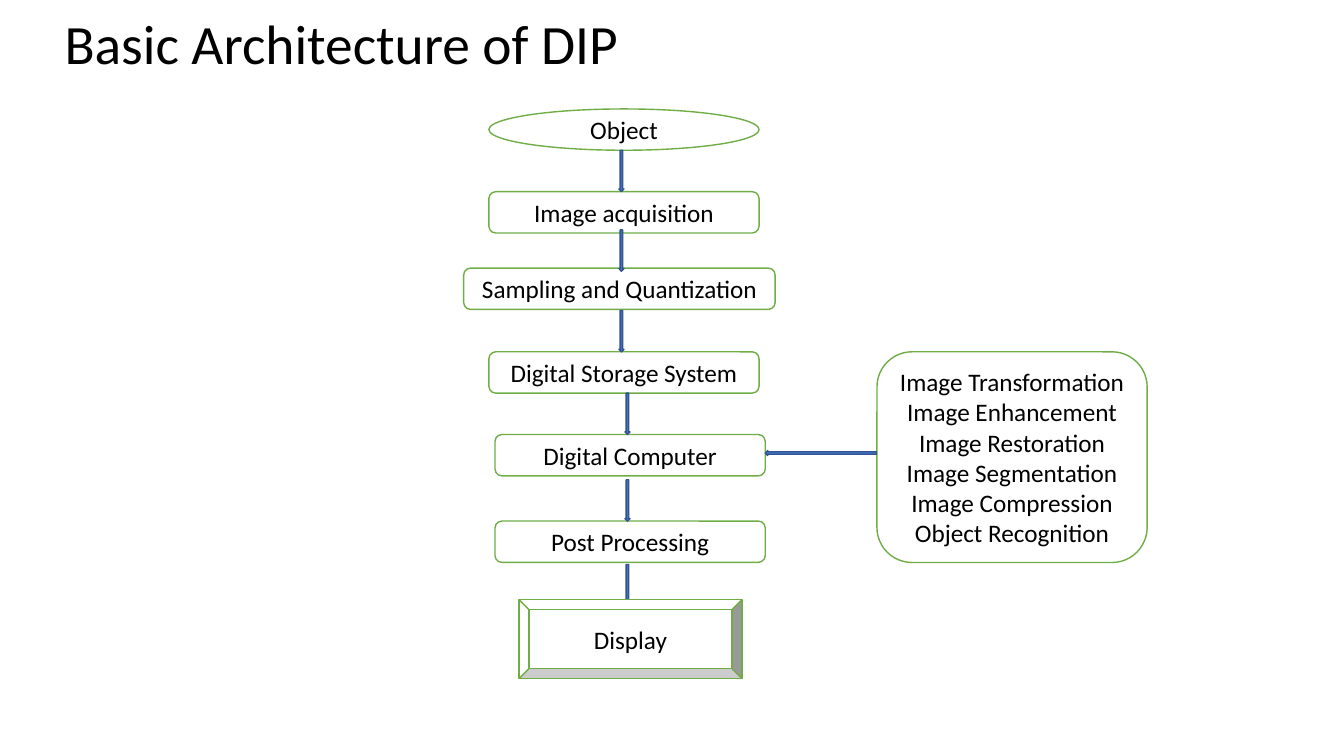
from pptx import Presentation
from pptx.dml.color import RGBColor
from pptx.enum.shapes import MSO_SHAPE
from pptx.enum.text import MSO_ANCHOR, PP_ALIGN
from pptx.util import Pt

OVAL, ROUNDED, BEVEL = MSO_SHAPE.OVAL, MSO_SHAPE.ROUNDED_RECTANGLE, MSO_SHAPE.BEVEL
DOWN, LEFT = MSO_SHAPE.DOWN_ARROW, MSO_SHAPE.LEFT_ARROW
WHITE, GREEN, BLUE, NAVY = "FFFFFF", "70AD47", "4472C4", "325491"
BOX_W, BOX_H, ARROW_W = 193, 29.5, 3.6


def write(sp, text, size=18, align=PP_ALIGN.CENTER, spacing=1.0):
    tf = sp.text_frame
    tf.word_wrap = True
    tf.vertical_anchor = MSO_ANCHOR.MIDDLE
    tf.text = text
    for p in tf.paragraphs:
        p.alignment = align
        p.line_spacing = spacing
        p.font.name = "Calibri"
        p.font.size = Pt(size)
        p.font.color.rgb = RGBColor.from_string("000000")


def add_block(kind, x, y, w, h, fill=WHITE, line=GREEN, text=""):
    sp = s.shapes.add_shape(kind, Pt(x), Pt(y), Pt(w), Pt(h))
    sp.shadow.inherit = False
    sp.fill.solid()
    sp.fill.fore_color.rgb = RGBColor.from_string(fill)
    sp.line.color.rgb = RGBColor.from_string(line)
    sp.line.width = Pt(1)
    if text:
        write(sp, text)


prs = Presentation()
prs.slide_width, prs.slide_height = Pt(960), Pt(540)
s = prs.slides.add_slide(prs.slide_layouts[5])

title = s.shapes.title
title.left, title.top, title.width, title.height = Pt(38.9), Pt(7.9), Pt(828), Pt(50.4)
write(title, "Basic Architecture of DIP", size=39.6, align=PP_ALIGN.LEFT, spacing=0.9)

# Main column of processing steps
steps = [
    ("Object", OVAL, 349.2, 77.8, BOX_W),
    ("Image acquisition", ROUNDED, 349.2, 136.9, BOX_W),
    ("Sampling and Quantization", ROUNDED, 331.2, 191.5, 222.5),
    ("Digital Storage System", ROUNDED, 349.2, 251.3, BOX_W),
    ("Digital Computer", ROUNDED, 353.6, 310.4, BOX_W),
    ("Post Processing", ROUNDED, 353.6, 372.2, BOX_W),
]
for text, kind, x, y, w in steps:
    add_block(kind, x, y, w, BOX_H, text=text)

# Arrows between the steps
down_arrows = [(442.1, 107.3), (442.1, 164.2), (442.1, 221.8),
               (446.4, 280.8), (446.4, 342.7), (446.4, 403.2)]
for x, y in down_arrows:
    add_block(DOWN, x, y, ARROW_W, BOX_H, BLUE, NAVY)

# Operations that feed the computer
operations = ["Image Transformation", "Image Enhancement", "Image Restoration",
              "Image Segmentation", "Image Compression", "Object Recognition"]
add_block(ROUNDED, 626.4, 251.3, BOX_W, 150.5, text="\n".join(operations))
add_block(LEFT, 546.6, 321.8, 79.5, ARROW_W, BLUE, NAVY)

add_block(BEVEL, 370.8, 428.4, 159.1, 56.2, text="Display")

prs.save("out.pptx")
